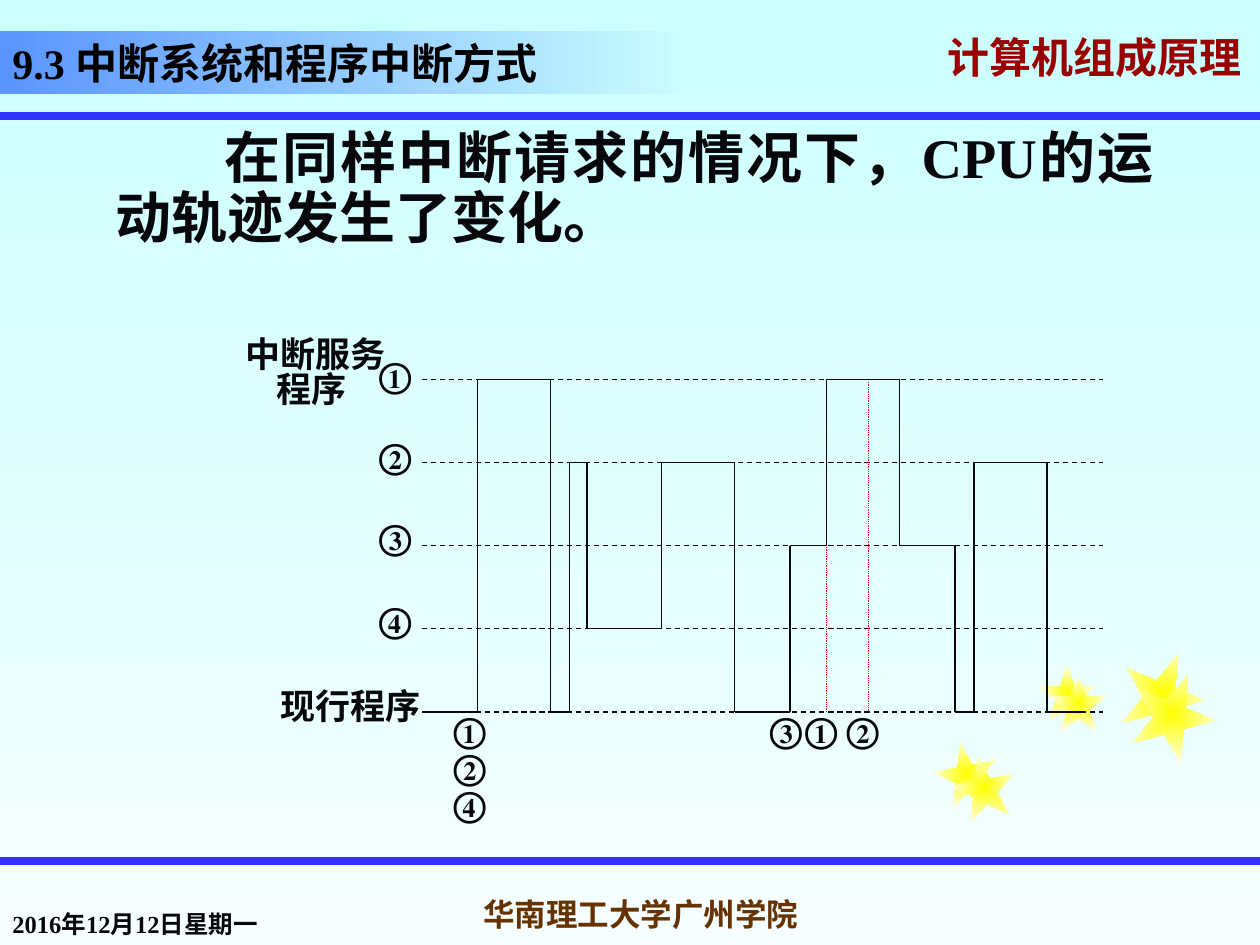
from itertools import pairwise

from lxml.etree import SubElement
from pptx import Presentation
from pptx.dml.color import RGBColor
from pptx.enum.dml import MSO_LINE_DASH_STYLE as Dash
from pptx.enum.shapes import MSO_CONNECTOR as Connector, MSO_SHAPE as Shape
from pptx.enum.text import MSO_ANCHOR as Anchor, PP_ALIGN as Align
from pptx.oxml.ns import qn
from pptx.util import Inches, Pt

INK, RULE, HEADING, SCHOOL, RED = "08080C", "3333FF", "990000", "663300", "FF0000"
SERIF, SANS = "Times New Roman", "Noto Sans CJK SC"


def color(hex_string):
    return RGBColor.from_string(hex_string)


class SlideBuilder:
    def __init__(self, slide):
        self.slide = slide

    def gradient(self, fill, start, end, angle=0):
        """Two-stop linear gradient; the angle runs counter-clockwise."""
        fill.gradient()
        fill.gradient_angle = angle
        for stop, position, shade in zip(fill.gradient_stops, (0, 1), (start, end)):
            stop.position = position
            stop.color.rgb = color(shade)

    def shape(self, kind, left, top, width, height):
        shape = self.slide.shapes.add_shape(
            kind, Inches(left), Inches(top), Inches(width), Inches(height))
        shape.shadow.inherit = False
        shape.line.fill.background()
        return shape

    def star(self, left, top, size, rotation):
        star = self.shape(Shape.STAR_5_POINT, left, top, size, size)
        star.rotation = rotation
        self.gradient(star.fill, "FFFF00", "FFFFF5")
        grad = star._element.spPr.find(qn("a:gradFill"))
        grad.remove(grad.find(qn("a:lin")))
        radial = SubElement(grad, qn("a:path"), {"path": "shape"})
        SubElement(radial, qn("a:fillToRect"), dict.fromkeys("ltrb", "50000"))

    def line(self, x1, y1, x2, y2, shade=INK, width=0.75, dash=None):
        line = self.slide.shapes.add_connector(
            Connector.STRAIGHT, Inches(x1), Inches(y1), Inches(x2), Inches(y2))
        line.line.color.rgb = color(shade)
        line.line.width = Pt(width)
        if dash:
            line.line.dash_style = dash
        SubElement(line._element.spPr, qn("a:effectLst"))

    def run(self, paragraph, words, size, shade=INK, face=SERIF, shadow=False):
        run = paragraph.add_run()
        run.text = words
        font = run.font
        font.size, font.bold = Pt(size), True
        font.color.rgb = color(shade)
        properties = run._r.get_or_add_rPr()
        if shadow:
            effects = SubElement(properties, qn("a:effectLst"))
            outer = SubElement(effects, qn("a:outerShdw"),
                               {"dist": "38100", "dir": "2700000"})
            SubElement(outer, qn("a:srgbClr"), {"val": "808080"})
        font.name = face
        SubElement(properties, qn("a:ea"), {"typeface": SANS})

    def text(self, left, top, width, height, words, size, anchor=Anchor.TOP,
             align=Align.LEFT, **style):
        box = self.slide.shapes.add_textbox(
            Inches(left), Inches(top), Inches(width), Inches(height))
        frame = box.text_frame
        frame.word_wrap = True
        frame.vertical_anchor = anchor
        paragraph = frame.paragraphs[0]
        paragraph.alignment = align
        self.run(paragraph, words, size, **style)
        return frame

    def indent(self, paragraph, left, first=0):
        properties = paragraph._p.get_or_add_pPr()
        properties.set("marL", str(Inches(left)))
        properties.set("indent", str(Inches(first)))


def add_frame(builder):
    """Background, header, footer and corner stars."""
    builder.gradient(builder.slide.background.fill, "CCFFFF", "F5FFFF", 270)
    course = builder.text(7.42, 0.25, 2.58, 0.5, "计算机组成原理", 24, Anchor.MIDDLE,
                          shade=HEADING, face=SANS, shadow=True)
    course.paragraphs[0].line_spacing = 0.7
    for y in (0.92, 6.83):
        builder.line(0, y, 10, y, RULE, 4.5)
    for left, top, size, rotation in (
            (7.42, 5.89, 0.5, 349), (8.24, 5.27, 0.46, 0), (8.89, 5.17, 0.67, 22),
            (7.56, 6, 0.5, 349), (8.33, 5.35, 0.46, 0), (8.97, 5.33, 0.67, 22)):
        builder.star(left, top, size, rotation)
    builder.text(0, 7, 2.21, 0.5, "2016年12月12日星期一", 14, Anchor.BOTTOM)
    builder.text(3.5, 7, 3.17, 0.5, "华南理工大学广州学院", 18, Anchor.MIDDLE,
                 Align.CENTER, shade=SCHOOL)


def add_heading(builder):
    banner = builder.shape(Shape.RECTANGLE, 0, 0.25, 5.5, 0.5)
    builder.gradient(banner.fill, "5994FF", "CCFFFF")
    banner.text_frame.vertical_anchor = Anchor.BOTTOM
    title = banner.text_frame.paragraphs[0]
    title.alignment = Align.LEFT
    builder.run(title, "9.3 ", 24, "000000")
    builder.run(title, "中断系统和程序中断方式", 24, "000000", SANS)

    body = builder.text(0.44, 0.98, 8.81, 5.62,
                        "在同样中断请求的情况下，CPU的运动轨迹发生了变化。", 32,
                        align=Align.JUSTIFY).paragraphs[0]
    body.line_spacing = 0.9
    builder.indent(body, 0.38, 0.86)


def add_timing_diagram(builder):
    start, end, axis_end = 3.35, 8.6, 8.75
    # Levels 1 to 4 are service routines, level 5 is the running program.
    level_y = {level: 3.01 + 0.66 * (level - 1) for level in range(1, 6)}
    for y in level_y.values():
        builder.line(start, y, axis_end, y, dash=Dash.DASH)

    switches = [(start, 5), (3.79, 1), (4.37, 5), (4.52, 2), (4.66, 4), (5.25, 2),
                (5.83, 5), (6.27, 3), (6.56, 1), (7.14, 3), (7.58, 5), (7.73, 2),
                (8.31, 5), (end, 5)]
    for (x, level), (next_x, next_level) in pairwise(switches):
        y, next_y = level_y[level], level_y[next_level]
        builder.line(x, y, next_x, y)
        if next_level != level:
            builder.line(next_x, y, next_x, next_y)

    service = builder.text(1.85, 2.59, 1.53, 0.7, "中断服务", 20)
    routine = service.add_paragraph()
    routine.line_spacing = 0.3
    routine.space_before = Pt(10)
    builder.indent(routine, 0.25)
    builder.run(routine, "程序", 20)
    builder.text(2.13, 5.38, 1.53, 0.43, "现行程序", 20)

    level_marks = [(2.91, 2.76, "①"), (2.91, 3.4, "②"), (2.91, 4.04, "③"),
                   (2.91, 4.7, "④")]
    request_marks = [(3.5, 5.57, "①"), (3.5, 5.87, "②"), (3.5, 6.16, "④"),
                     (6.01, 5.57, "③"), (6.29, 5.57, "①"), (6.62, 5.57, "②")]
    for left, top, mark in level_marks + request_marks:
        builder.text(left, top, 1.46, 0.43, mark, 20)

    for x, top in ((6.89, 3.03), (6.56, 4.34)):
        builder.line(x, top, x, level_y[5], RED, 0.5, Dash.ROUND_DOT)


def main():
    deck = Presentation()
    deck.slide_width, deck.slide_height = Inches(10), Inches(7.5)
    builder = SlideBuilder(deck.slides.add_slide(deck.slide_layouts[6]))
    add_frame(builder)
    add_heading(builder)
    add_timing_diagram(builder)
    deck.save("out.pptx")


if __name__ == "__main__":
    main()
